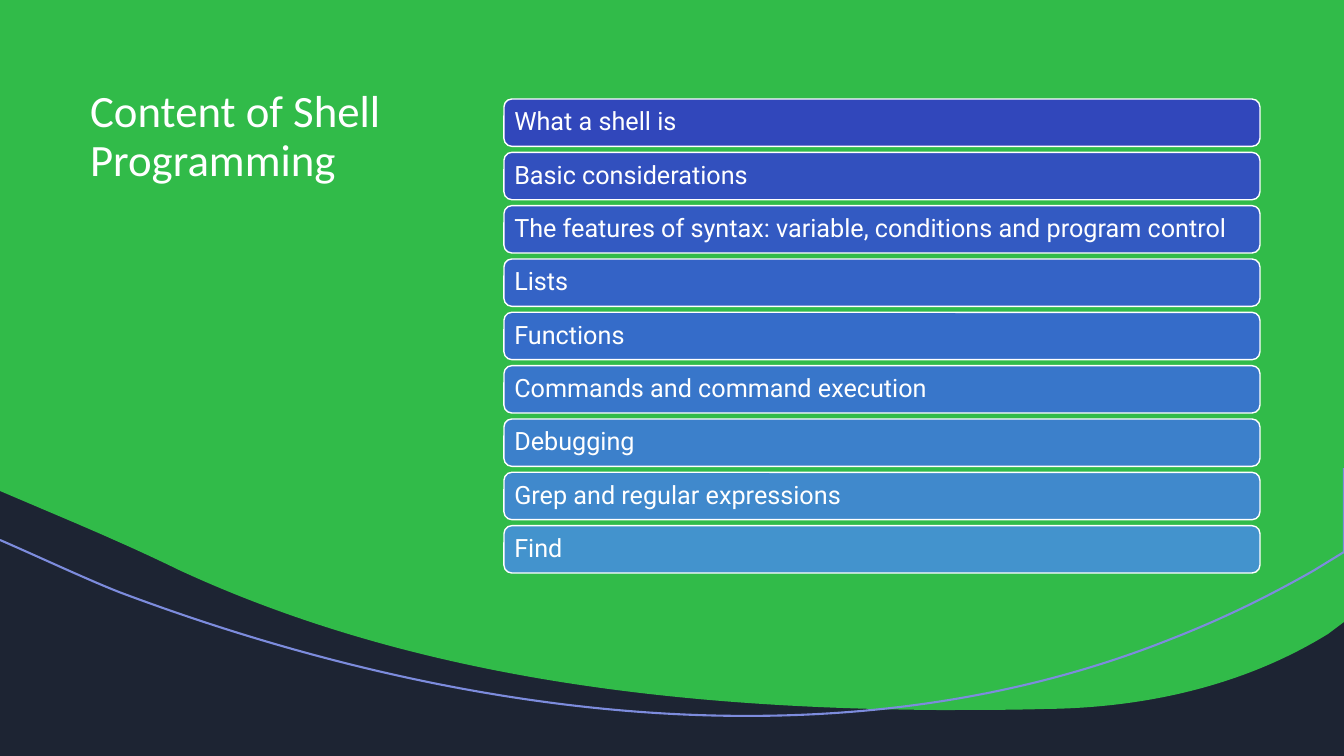
from lxml.etree import SubElement
from pptx import Presentation
from pptx.dml.color import RGBColor
from pptx.enum.shapes import MSO_SHAPE as Shape
from pptx.enum.text import MSO_ANCHOR as Anchor, MSO_AUTO_SIZE as AutoSize, PP_ALIGN as Align
from pptx.oxml.ns import qn
from pptx.util import Emu, Pt

EMU_PER_PX = 914400 / 100.8
WIDTH, HEIGHT = 1344, 756
TITLE_ONLY = 5

COLORS = {
    "navy": "1D2433",
    "green": "31BB49",
    "lavender": "7D8CDD",
    "white": "FFFFFF",
    "bar_first": "3147BB",
    "bar_middle": "356CC9",
    "bar_last": "4393CD",
}

TOPICS = [
    "What a shell is",
    "Basic considerations",
    "The features of syntax: variable, conditions and program control",
    "Lists",
    "Functions",
    "Commands and command execution",
    "Debugging",
    "Grep and regular expressions",
    "Find",
]

WAVE_START = (0, 0)
WAVE = [
    [(1344, 0)],
    [(1344, 622)],
    [(1328, 634)],
    [(1242, 687), (1142, 708), (1045, 709)],
    [(1010, 710), (974, 710), (937, 710)],
    [(682, 708), (417, 680), (179, 570)],
    [(136, 549), (92, 530), (47, 511)],
    [(0, 491)],
]

SWEEP_START = (1344, 468)
SWEEP = [
    [(1344, 552)],
    [(1313, 571)],
    [(1274, 593), (1230, 616), (1171, 639)],
    [(848, 768), (469, 722), (127, 595)],
    [(99, 585), (37, 556), (0, 540)],
]


def px(length):
    return Emu(round(length * EMU_PER_PX))


def rgb(name):
    return RGBColor.from_string(COLORS[name])


def blend(first, last, share):
    pairs = zip(rgb(first), rgb(last))
    return RGBColor(*(round(a + (b - a) * share) for a, b in pairs))


def bar_color(share):
    if share <= 0.5:
        return blend("bar_first", "bar_middle", share * 2)
    return blend("bar_middle", "bar_last", share * 2 - 1)


def bend_lines(outline, segments):
    lines = list(outline.element.iter(qn("a:lnTo")))
    for line, segment in zip(lines, segments):
        if len(segment) == 1:
            continue
        line.clear()
        curve = line.makeelement(qn("a:cubicBezTo"))
        line.getparent().replace(line, curve)
        for x, y in segment:
            SubElement(curve, qn("a:pt"), x=str(x - outline.left), y=str(y - outline.top))


def add_outline(page, box, start, segments, closed):
    left, top = box[:2]

    def locate(point):
        return px(left + point[0]), px(top + point[1])

    located = [[locate(point) for point in segment] for segment in segments]
    builder = page.shapes.build_freeform(*locate(start))
    builder.add_line_segments([segment[-1] for segment in located], close=closed)
    outline = builder.convert_to_shape()
    outline.shadow.inherit = False
    bend_lines(outline, located)
    return outline


def write(frame, text, size, font, color="white", anchor=Anchor.TOP):
    frame.word_wrap = True
    frame.auto_size = AutoSize.NONE
    frame.vertical_anchor = anchor
    para = frame.paragraphs[0]
    para.alignment = Align.LEFT
    para.line_spacing = 0.9
    span = para.add_run()
    span.text = text
    span.font.size = Pt(size)
    span.font.name = font
    span.font.color.rgb = rgb(color)


def add_backdrop(page, box):
    page.background.fill.solid()
    page.background.fill.fore_color.rgb = rgb("navy")
    wave = add_outline(page, box, WAVE_START, WAVE, closed=True)
    wave.fill.solid()
    wave.fill.fore_color.rgb = rgb("green")
    wave.line.fill.background()
    sweep = add_outline(page, box, SWEEP_START, SWEEP, closed=False)
    sweep.fill.background()
    sweep.line.color.rgb = rgb("lavender")
    sweep.line.width = Pt(1.5)


def add_title(page, box):
    title = page.shapes.title
    title.element.getparent().append(title.element)
    title.left, title.top, title.width, title.height = map(px, box)
    write(title.text_frame, "Content of Shell Programming", size=32, font="Calibri")


def add_topics(page, box, gap=6):
    left, top, width, height = box
    bar_height = (height - gap * (len(TOPICS) - 1)) / len(TOPICS)
    for index, topic in enumerate(TOPICS):
        bar_top = top + index * (bar_height + gap)
        bar = page.shapes.add_shape(
            Shape.ROUNDED_RECTANGLE, *map(px, (left, bar_top, width, bar_height)))
        bar.shadow.inherit = False
        bar.fill.solid()
        bar.fill.fore_color.rgb = bar_color(index / (len(TOPICS) - 1))
        bar.line.color.rgb = rgb("white")
        bar.line.width = Pt(1)
        frame = bar.text_frame
        frame.margin_left = frame.margin_right = px(8)
        frame.margin_top = frame.margin_bottom = px(7)
        write(frame, topic, size=18, font="Roboto", anchor=Anchor.MIDDLE)


def main():
    deck = Presentation()
    deck.slide_width, deck.slide_height = px(WIDTH), px(HEIGHT)
    page = deck.slides.add_slide(deck.slide_layouts[TITLE_ONLY])
    add_backdrop(page, (0, 0, WIDTH, HEIGHT))
    add_title(page, (80, 84, 397, 252))
    add_topics(page, (504, 99, 756, 474))
    deck.save("out.pptx")


if __name__ == "__main__":
    main()
